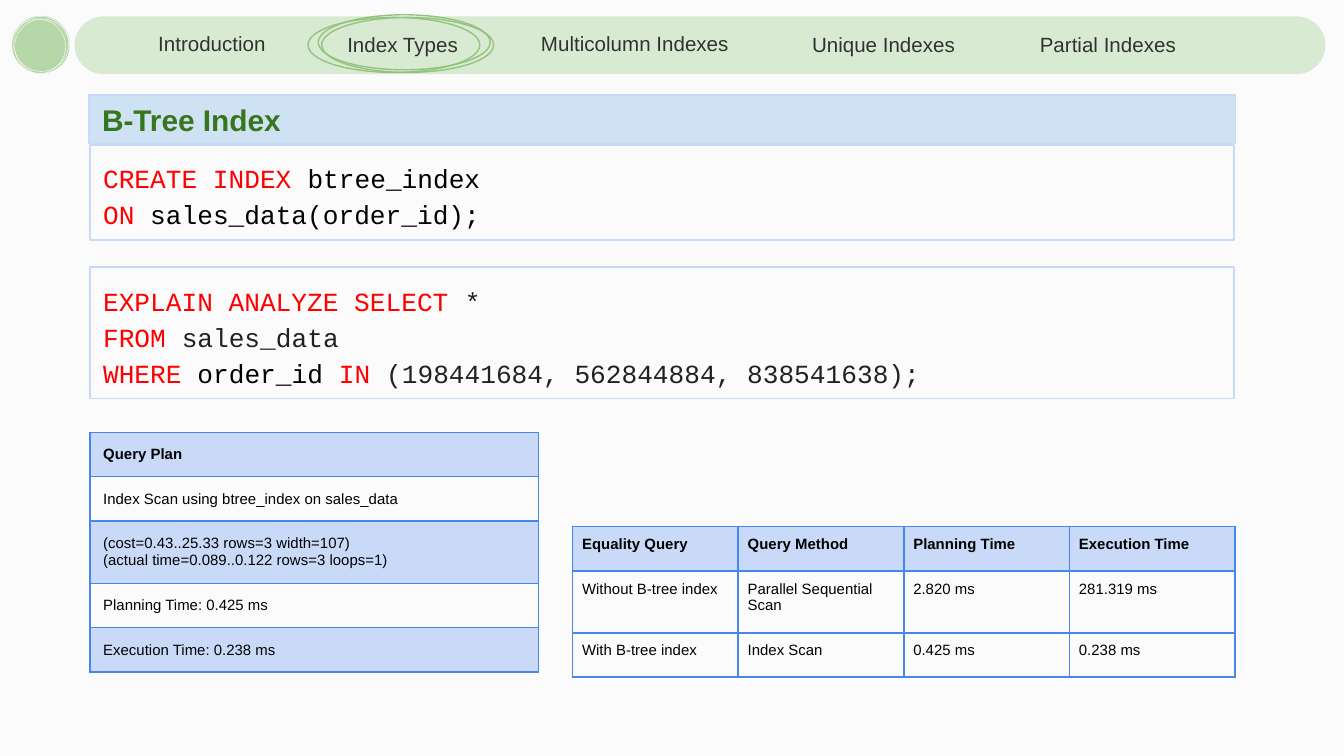
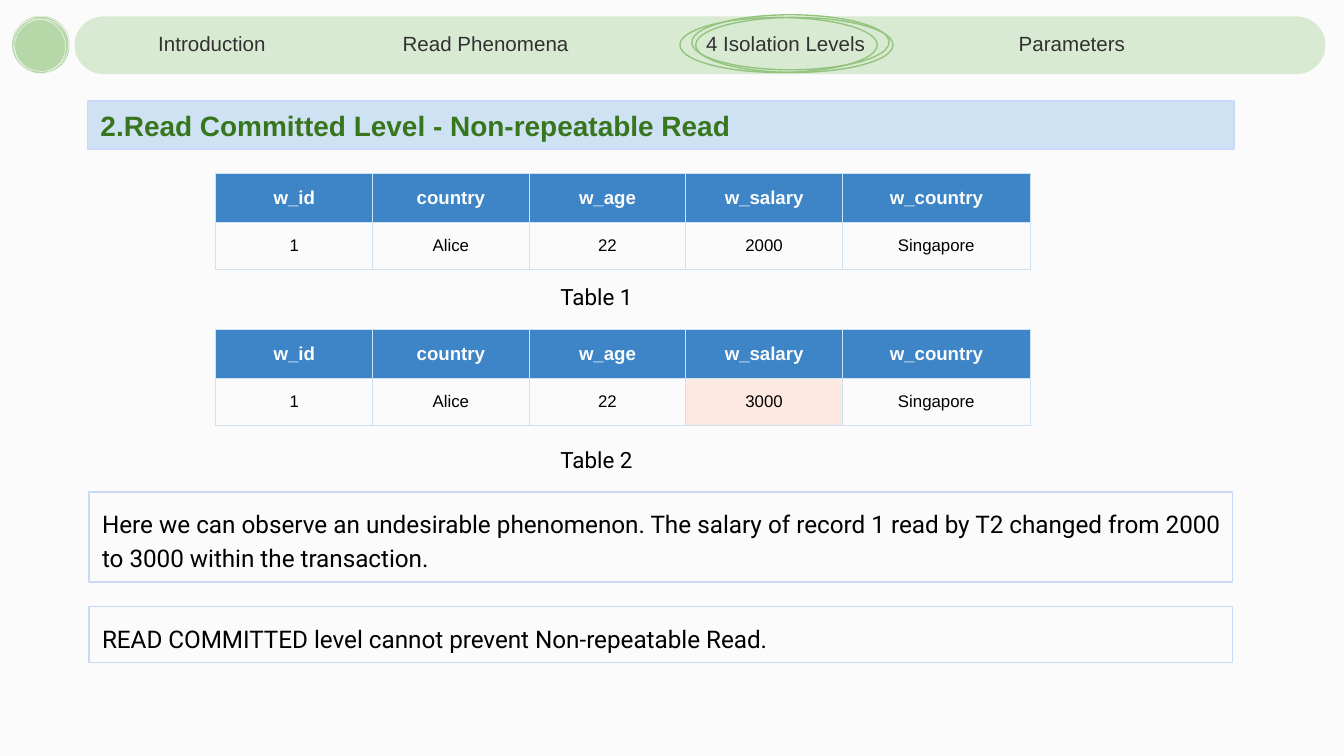
from dataclasses import dataclass, replace
from typing import Any

from lxml.etree import SubElement
from pptx import Presentation
from pptx.dml.color import RGBColor
from pptx.enum.shapes import MSO_SHAPE
from pptx.enum.text import MSO_ANCHOR, MSO_AUTO_SIZE, PP_ALIGN
from pptx.oxml.ns import qn
from pptx.util import Cm, Pt

PAPER, INK, BLACK = "FBFBFB", "212121", "000000"
KEYWORD, TITLE_GREEN, NAV_TEXT = "FF0000", "38761D", "313131"
BADGE_GREEN, NAV_GREEN, RING_GREEN = "B6D7A8", "D9EAD3", "93C47D"
PALE_BLUE, BOX_BLUE, GRID_BLUE, HEADER_BLUE = "CFE2F3", "C9DAF8", "4A86E8", "3D85C6"
CHANGED = "FDE9E1"
PAD = 0.25
BOX_WIDTH = 21.62


@dataclass
class TextStyle:
    font: str = "Arial"
    size: float = 8
    colour: str = BLACK
    bold: bool = False
    align: Any = PP_ALIGN.LEFT
    spacing: float = 1.0


CODE = TextStyle("Courier New", 14, align=PP_ALIGN.JUSTIFY, spacing=1.15)
NOTE = TextStyle("Roboto", 13, align=PP_ALIGN.JUSTIFY, spacing=1.15)
CAPTION = TextStyle("Roboto", 12)
TITLE = TextStyle(size=16, colour=TITLE_GREEN, bold=True)
NAV = TextStyle(size=11, colour=NAV_TEXT, align=PP_ALIGN.CENTER)
CELL = TextStyle()
CELL_HEAD = TextStyle(bold=True)
RECORD = TextStyle(size=9, align=PP_ALIGN.CENTER)
RECORD_HEAD = TextStyle(size=10, colour=PAPER, bold=True, align=PP_ALIGN.CENTER)


def rgb(colour):
    return RGBColor.from_string(colour)


def paint(fill, colour):
    """Fill with a colour, or leave empty when it is None."""
    if colour is None:
        fill.background()
    else:
        fill.solid()
        fill.fore_color.rgb = rgb(colour)


def write(frame, lines, style):
    """Write one paragraph per line; a line is a string or (text, colour) spans."""
    for number, line in enumerate(lines):
        para = frame.paragraphs[0] if number == 0 else frame.add_paragraph()
        para.alignment, para.line_spacing = style.align, style.spacing
        font = para.font
        font.name, font.size, font.bold = style.font, Pt(style.size), style.bold
        font.color.rgb = rgb(style.colour)
        for text, colour in [(line, style.colour)] if isinstance(line, str) else line:
            span = para.add_run()
            span.text = text
            span.font.color.rgb = rgb(colour)


def set_margins(target, pad):
    target.margin_left = target.margin_right = Cm(pad)
    target.margin_top = target.margin_bottom = Cm(pad)


def add_outline(page, kind, box, fill=None, line=None, weight=0.75):
    shape = page.shapes.add_shape(kind, *map(Cm, box))
    shape.shadow.inherit = False
    paint(shape.fill, fill)
    paint(shape.line.fill, line)
    if line:
        shape.line.width = Pt(weight)
    return shape


def fill_text(shape, lines, style, anchor=MSO_ANCHOR.TOP, grow=False):
    frame = shape.text_frame
    frame.word_wrap = True
    frame.auto_size = MSO_AUTO_SIZE.SHAPE_TO_FIT_TEXT if grow else MSO_AUTO_SIZE.NONE
    frame.vertical_anchor = anchor
    set_margins(frame, PAD)
    write(frame, lines, style)
    return frame


def add_label(page, box, text, style, **options):
    fill_text(page.shapes.add_textbox(*map(Cm, box)), [text], style, **options)


def add_framed_text(page, box, lines, style):
    shape = add_outline(page, MSO_SHAPE.RECTANGLE, box, line=BOX_BLUE)
    fill_text(shape, lines, style, grow=True)


def add_title(page, left, top, text, size):
    band = add_outline(page, MSO_SHAPE.RECTANGLE, (left, top, 21.67, 0.91),
                       PALE_BLUE, BOX_BLUE)
    frame = fill_text(band, [text], replace(TITLE, size=size), MSO_ANCHOR.MIDDLE)
    frame.margin_right = 0


def add_badge(page, left=0.2, top=0.3):
    add_outline(page, MSO_SHAPE.OVAL, (left + 0.03, top, 1.09, 1.09), BADGE_GREEN)
    for across, down in ((0.06, 0.01), (0, 0.06), (0.08, 0.06)):
        add_outline(page, MSO_SHAPE.OVAL, (left + across, top + down, 1.04, 1.04),
                    line=PAPER, weight=0.23)


def add_nav(page, labels, ring_left, ring_width):
    """Draw the top bar, its labels (left, top, width, text) and the current-tab rings."""
    bar = add_outline(page, MSO_SHAPE.ROUNDED_RECTANGLE, (1.41, 0.31, 23.64, 1.09),
                      NAV_GREEN)
    bar.adjustments[0] = 0.5
    intro = (2.74, 0.56, 4.04, 0.53)
    add_label(page, intro, "Introduction", replace(NAV, align=PP_ALIGN.LEFT),
              anchor=MSO_ANCHOR.MIDDLE)
    for left, top, width, text in labels:
        add_label(page, (left, top, width, 0.53), text, NAV, anchor=MSO_ANCHOR.MIDDLE)
    for shift, top in ((0.06, 0.28), (0, 0.33), (0.08, 0.33)):
        add_outline(page, MSO_SHAPE.OVAL,
                    (ring_left + shift * ring_width, top, ring_width, 1.04),
                    line=RING_GREEN)


def set_borders(cell, colour, weight):
    properties = cell._tc.get_or_add_tcPr()
    for side in ("a:lnL", "a:lnR", "a:lnT", "a:lnB"):
        line = SubElement(properties, qn(side), w=str(Pt(weight)))
        solid = SubElement(line, qn("a:solidFill"))
        SubElement(solid, qn("a:srgbClr"), val=colour)


def add_grid(page, left, top, widths, heights, rows, fills, head, body,
             border, weight=0.75, pad=PAD, anchor=MSO_ANCHOR.MIDDLE):
    """Add a table; fills maps a row number, or (row, column), to a colour."""
    table = page.shapes.add_table(len(rows), len(widths), Cm(left), Cm(top),
                                  Cm(sum(widths)), Cm(sum(heights))).table
    table.first_row = table.horz_banding = False
    for column, width in zip(table.columns, widths):
        column.width = Cm(width)
    for row, height in zip(table.rows, heights):
        row.height = Cm(height)
    for r, row in enumerate(rows):
        for c, text in enumerate(row):
            cell = table.cell(r, c)
            set_borders(cell, border, weight)
            paint(cell.fill, fills.get((r, c), fills.get(r)))
            set_margins(cell, pad)
            cell.vertical_anchor = anchor
            write(cell.text_frame, text.split("\n"), body if r else head)


def add_record_table(page, top, salary, fills):
    rows = [("w_id", "country", "w_age", "w_salary", "w_country"),
            ("1", "Alice", "22", salary, "Singapore")]
    add_grid(page, 4.08, top, [2.96] * 4 + [3.55], [0.84, 0.89], rows,
             {0: HEADER_BLUE, **fills}, RECORD_HEAD, RECORD, PALE_BLUE)


def new_page(deck):
    page = deck.slides.add_slide(deck.slide_layouts[6])
    paint(page.background.fill, PAPER)
    add_badge(page)
    return page


def build_index_page(deck):
    page = new_page(deck)
    add_framed_text(page, (1.7, 2.74, BOX_WIDTH, 1.8), [
        [("CREATE INDEX", KEYWORD), (" btree_index", BLACK)],
        [("ON", KEYWORD), (" sales_data(order_id);", BLACK)],
    ], CODE)
    add_framed_text(page, (1.7, 5.05, BOX_WIDTH, 2.49), [
        [("EXPLAIN ANALYZE SELECT ", KEYWORD), ("*", INK)],
        [("FROM ", KEYWORD), ("sales_data", INK)],
        [("WHERE ", KEYWORD), ("order_id", BLACK), (" IN ", KEYWORD),
         ("(198441684, 562844884, 838541638);", INK)],
    ], CODE)
    plan = ["Query Plan",
            "Index Scan using btree_index on sales_data",
            "(cost=0.43..25.33 rows=3 width=107)\n"
            "(actual time=0.089..0.122 rows=3 loops=1)",
            "Planning Time: 0.425 ms",
            "Execution Time: 0.238 ms"]
    add_grid(page, 1.7, 8.17, [8.48], [0.71, 0.76, 1.09, 0.71, 0.71],
             [(step,) for step in plan], dict.fromkeys((0, 2, 4), BOX_BLUE),
             CELL_HEAD, CELL, GRID_BLUE)
    add_title(page, 1.68, 1.8, "B-Tree Index", 16)
    timings = [("Equality Query", "Query Method", "Planning Time", "Execution Time"),
               ("Without B-tree index", "Parallel Sequential Scan", "2.820 ms", "281.319 ms"),
               ("With B-tree index", "Index Scan", "0.425 ms", "0.238 ms")]
    add_grid(page, 10.82, 9.95, [3.13] * 4, [0.84, 1.17, 0.84], timings,
             {0: BOX_BLUE}, CELL_HEAD, CELL, GRID_BLUE, weight=1, pad=0.18,
             anchor=MSO_ANCHOR.TOP)
    add_nav(page, [(5.97, 0.58, 3.28, "Index Types"),
                   (9.75, 0.56, 4.5, "Multicolumn Indexes"),
                   (14.68, 0.58, 4.04, "Unique Indexes"),
                   (18.92, 0.58, 4.04, "Partial Indexes")], 5.82, 3.25)


def build_isolation_page(deck):
    page = new_page(deck)
    add_title(page, 1.65, 1.91, "2.Read Committed Level - Non-repeatable Read", 15)
    add_record_table(page, 3.28, "2000", {})
    add_record_table(page, 6.23, "3000", {(1, 3): CHANGED})
    for top, text in ((5.11, "Table 1"), (8.18, "Table 2")):
        add_label(page, (10.34, top, 2.16, 1.02), text, CAPTION, grow=True)
    add_framed_text(page, (1.68, 9.3, BOX_WIDTH, 1.7), [
        "Here we can observe an undesirable phenomenon. The salary of record 1 read "
        "by T2 changed from 2000 to 3000 within the transaction."], NOTE)
    add_framed_text(page, (1.68, 11.46, BOX_WIDTH, 1.07), [
        "READ COMMITTED level cannot prevent Non-repeatable Read."], NOTE)
    add_nav(page, [(7.29, 0.56, 3.78, "Read Phenomena"),
                   (12.6, 0.56, 4.5, "4 Isolation Levels"),
                   (18.24, 0.56, 4.04, "Parameters")], 12.85, 3.73)


def main():
    deck = Presentation()
    deck.slide_width, deck.slide_height = Cm(25.4), Cm(14.29)
    build_index_page(deck)
    build_isolation_page(deck)
    deck.save("out.pptx")


if __name__ == "__main__":
    main()
